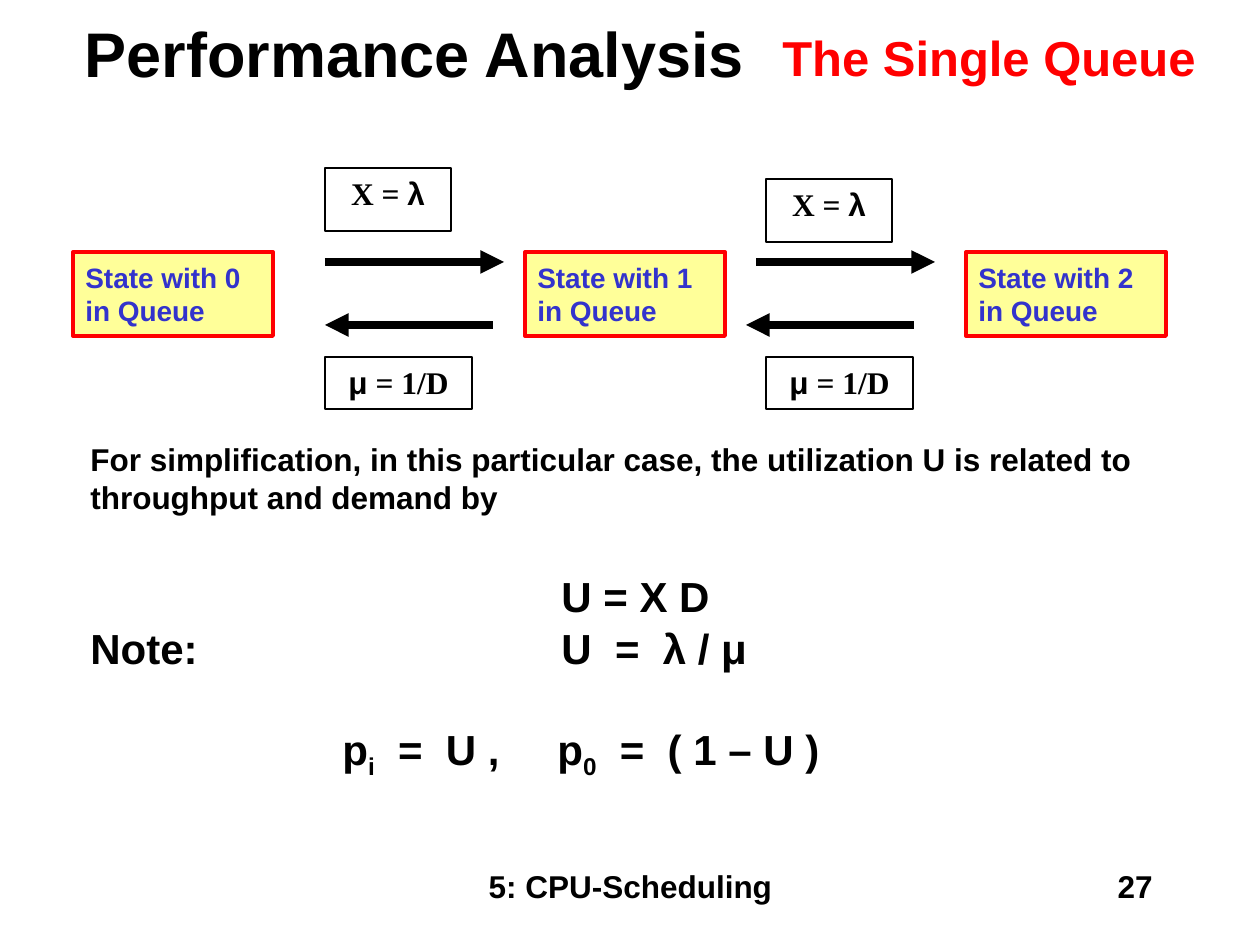
from lxml import etree
from pptx import Presentation
from pptx.dml.color import RGBColor
from pptx.enum.shapes import MSO_CONNECTOR, MSO_SHAPE
from pptx.enum.text import MSO_ANCHOR, PP_ALIGN
from pptx.oxml.ns import qn
from pptx.util import Pt

LEFT, CENTER, RIGHT = PP_ALIGN.LEFT, PP_ALIGN.CENTER, PP_ALIGN.RIGHT
TOP, MIDDLE = MSO_ANCHOR.TOP, MSO_ANCHOR.MIDDLE
RECTANGLE, STRAIGHT = MSO_SHAPE.RECTANGLE, MSO_CONNECTOR.STRAIGHT
SANS, SERIF = "Arial", "Times New Roman"
COLORS = {"ink": "000000", "accent": "FF0000", "state_text": "3333CC",
          "state_fill": "FFFF99", "paper": "FFFFFF"}

HEADINGS = [
    ("Performance Analysis", (63, 11, 703, 82), 36, "ink", CENTER, MIDDLE),
    ("The Single Queue", (766, 21, 446, 72), 28, "accent", CENTER, TOP),
    ("5: CPU-Scheduling", (431, 861, 399, 63), 18, "ink", CENTER, TOP),
    ("27", (903, 861, 262, 63), 18, "ink", RIGHT, TOP),
]
STATES = [("State with 0 in Queue", 73), ("State with 1 in Queue", 525),
          ("State with 2 in Queue", 966)]
ARRIVAL = [("X = ", SERIF), ("λ", SANS)]
SERVICE = [("μ", SANS), (" = 1/D", SERIF)]
RATES = [
    (ARRIVAL, (325, 168, 126, 63)),
    (ARRIVAL, (766, 179, 126, 63)),
    (SERVICE, (325, 357, 147, 52)),
    (SERVICE, (766, 357, 147, 52)),
]
ARROWS = [(325, 504, 262), (756, 935, 262), (493, 325, 325), (914, 746, 325)]
EXPLANATION = [
    (["For simplification, in this particular case, the utilization U is "
      "related to throughput and demand by"], 18, LEFT, 0, []),
    (["U = X D"], 24, CENTER, 31, []),
    (["Note:\tU  =  λ / μ"], 24, LEFT, 1, [471]),
    (["\tp", "i", "  =  U ,\tp", "0", "  =  ( 1 – U )"], 24, LEFT, 29, [252, 467]),
]


def px(value):
    return round(value * 914400 / 126)


def rgb(name):
    return RGBColor.from_string(COLORS[name])


def style(run, size, color="ink", font=SANS):
    run.font.name = font
    run.font.size = Pt(size)
    run.font.bold = True
    run.font.color.rgb = rgb(color)


def add_text(slide, box):
    frame = slide.shapes.add_textbox(*map(px, box)).text_frame
    frame.word_wrap = True
    return frame


def add_box(slide, box, fill, line, width, anchor):
    rectangle = slide.shapes.add_shape(RECTANGLE, *map(px, box))
    rectangle.shadow.inherit = False
    rectangle.fill.solid()
    rectangle.fill.fore_color.rgb = rgb(fill)
    rectangle.line.color.rgb = rgb(line)
    rectangle.line.width = Pt(width)
    frame = rectangle.text_frame
    frame.word_wrap = True
    frame.vertical_anchor = anchor
    frame.paragraphs[0].alignment = CENTER
    return frame


def add_arrow(slide, start, end, y):
    arrow = slide.shapes.add_connector(STRAIGHT, px(start), px(y), px(end), px(y))
    arrow.line.color.rgb = rgb("ink")
    arrow.line.width = Pt(4.5)
    etree.SubElement(arrow.line._get_or_add_ln(), qn("a:tailEnd"), type="triangle")
    etree.SubElement(arrow._element.spPr, qn("a:effectLst"))


def add_tabs(paragraph, stops):
    tabs = etree.SubElement(paragraph._p.get_or_add_pPr(), qn("a:tabLst"))
    for stop in stops:
        etree.SubElement(tabs, qn("a:tab"), pos=str(px(stop)), algn="l")


def add_explanation(slide):
    frame = add_text(slide, (78, 434, 1115, 382))
    for index, (parts, size, align, gap, stops) in enumerate(EXPLANATION):
        paragraph = frame.add_paragraph() if index else frame.paragraphs[0]
        paragraph.alignment = align
        if gap:
            paragraph.space_before = Pt(gap)
        if stops:
            add_tabs(paragraph, stops)
        for position, part in enumerate(parts):
            run = paragraph.add_run()
            run.text = part
            style(run, size)
            if position % 2:
                run._r.get_or_add_rPr().set("baseline", "-25000")


def main():
    deck = Presentation()
    deck.slide_width, deck.slide_height = px(1260), px(945)
    slide = deck.slides.add_slide(deck.slide_layouts[6])

    for text, box, size, color, align, anchor in HEADINGS:
        frame = add_text(slide, box)
        frame.text = text
        frame.vertical_anchor = anchor
        frame.paragraphs[0].alignment = align
        style(frame.paragraphs[0].runs[0], size, color)

    for parts, box in RATES:
        frame = add_box(slide, box, "paper", "ink", 0.75, TOP)
        for text, font in parts:
            run = frame.paragraphs[0].add_run()
            run.text = text
            style(run, 18, font=font)

    for start, end, y in ARROWS:
        add_arrow(slide, start, end, y)

    for text, left in STATES:
        frame = add_box(slide, (left, 252, 200, 84), "state_fill", "accent", 2.25, MIDDLE)
        frame.text = text
        style(frame.paragraphs[0].runs[0], 16, "state_text")

    add_explanation(slide)
    deck.save("out.pptx")


if __name__ == "__main__":
    main()
